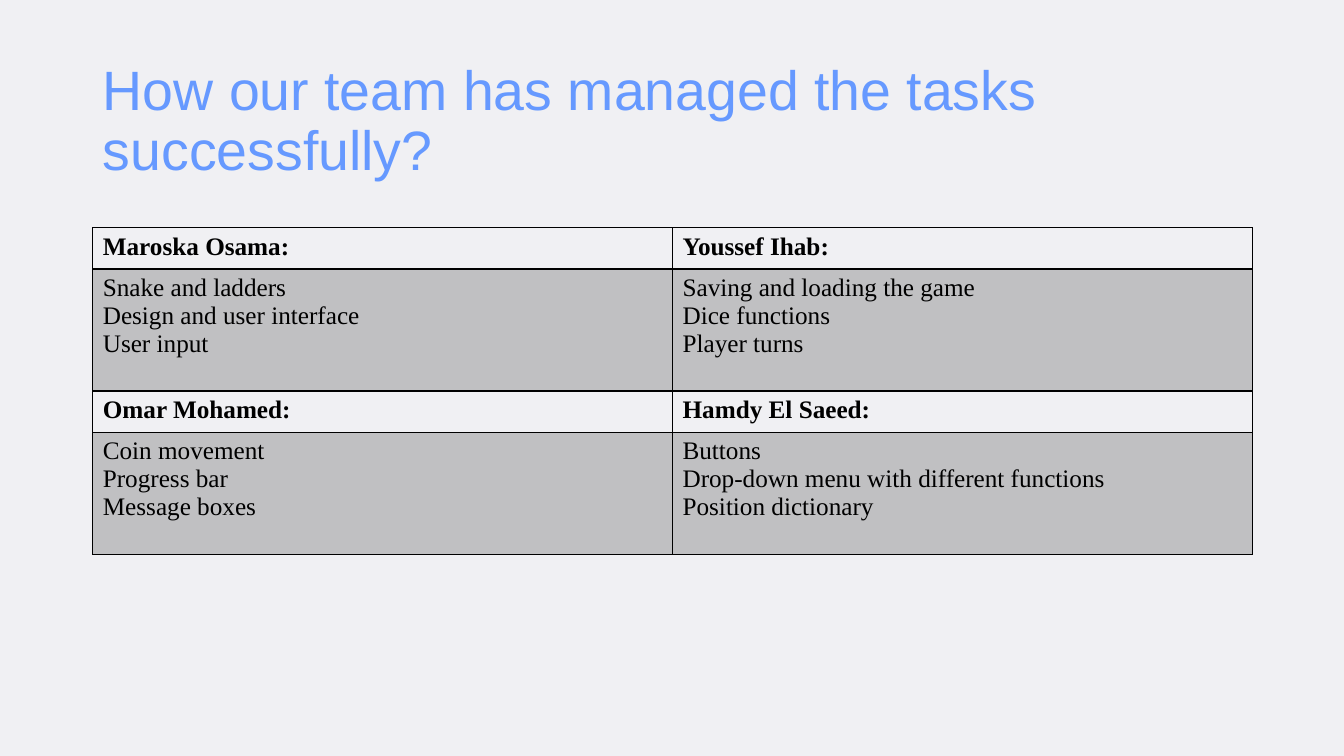
from lxml import etree
from pptx import Presentation
from pptx.dml.color import RGBColor
from pptx.enum.text import MSO_ANCHOR, MSO_AUTO_SIZE, PP_ALIGN
from pptx.oxml.ns import qn
from pptx.util import Inches, Pt

TASKS = [
    [("Maroska Osama:", ["Snake and ladders", "Design and user interface", "User input"]),
     ("Youssef Ihab:", ["Saving and loading the game", "Dice functions", "Player turns"])],
    [("Omar Mohamed:", ["Coin movement", "Progress bar", "Message boxes"]),
     ("Hamdy El Saeed:", ["Buttons", "Drop-down menu with different functions",
                          "Position dictionary"])],
]
LEFT, WIDTH = 0.92, 11.5
HEADER_HEIGHT, BODY_HEIGHT = 0.41, 1.21


def rgb(value):
    return RGBColor.from_string(value)


def write(tf, lines, font="Times New Roman", size=18, color="000000", bold=False, spacing=1.0):
    for i, line in enumerate(lines):
        p = tf.paragraphs[0] if i == 0 else tf.add_paragraph()
        p.alignment = PP_ALIGN.LEFT
        p.line_spacing = spacing
        r = p.add_run()
        r.text = line
        r.font.name = font
        r.font.size = Pt(size)
        r.font.bold = bold
        r.font.color.rgb = rgb(color)


def add_title(s, text):
    sp = s.shapes.title
    sp.left, sp.top = Inches(LEFT), Inches(0.64)
    sp.width, sp.height = Inches(WIDTH), Inches(1.22)
    tf = sp.text_frame
    tf.word_wrap = True
    tf.auto_size = MSO_AUTO_SIZE.NONE
    tf.vertical_anchor = MSO_ANCHOR.BOTTOM
    write(tf, [text], font="Arial", size=39.6, color="6699FF", spacing=0.9)


def shade(cell, color, alpha):
    cell.fill.solid()
    cell.fill.fore_color.rgb = rgb(color)
    clr = cell.fill._xPr.find(qn("a:solidFill"))[0]
    etree.SubElement(clr, qn("a:alpha"), val=str(alpha * 1000))


def set_borders(cell, color="000000", **widths):
    tcPr = cell._tc.get_or_add_tcPr()
    for i, side in enumerate("LRTB"):
        ln = etree.Element(qn(f"a:ln{side}"), w=str(Pt(widths.get(side, 1))))
        fill = etree.SubElement(ln, qn("a:solidFill"))
        etree.SubElement(fill, qn("a:srgbClr"), val=color)
        tcPr.insert(i, ln)


def add_task_table(s, tasks):
    heights = [HEADER_HEIGHT, BODY_HEIGHT] * len(tasks)
    columns = len(tasks[0])
    table = s.shapes.add_table(len(heights), columns, Inches(LEFT), Inches(2.26),
                               Inches(WIDTH), Inches(sum(heights))).table
    table.first_row = table.horz_banding = False
    for row, height in zip(table.rows, heights):
        row.height = Inches(height)
    for i, members in enumerate(tasks):
        for j, (name, duties) in enumerate(members):
            header, body = table.cell(2 * i, j), table.cell(2 * i + 1, j)
            write(header.text_frame, [name], bold=True)
            write(body.text_frame, duties)
            header.fill.background()
            shade(body, "000000", 20)
            set_borders(header, B=2 if i == 0 else 1)
            set_borders(body, T=2 if i == 0 else 1)


def main():
    prs = Presentation()
    prs.slide_width, prs.slide_height = Inches(13.33), Inches(7.5)
    s = prs.slides.add_slide(prs.slide_layouts[5])
    s.background.fill.solid()
    s.background.fill.fore_color.rgb = rgb("F0F0F3")
    add_title(s, "How our team has managed the tasks successfully?")
    add_task_table(s, TASKS)
    prs.save("out.pptx")


if __name__ == "__main__":
    main()
